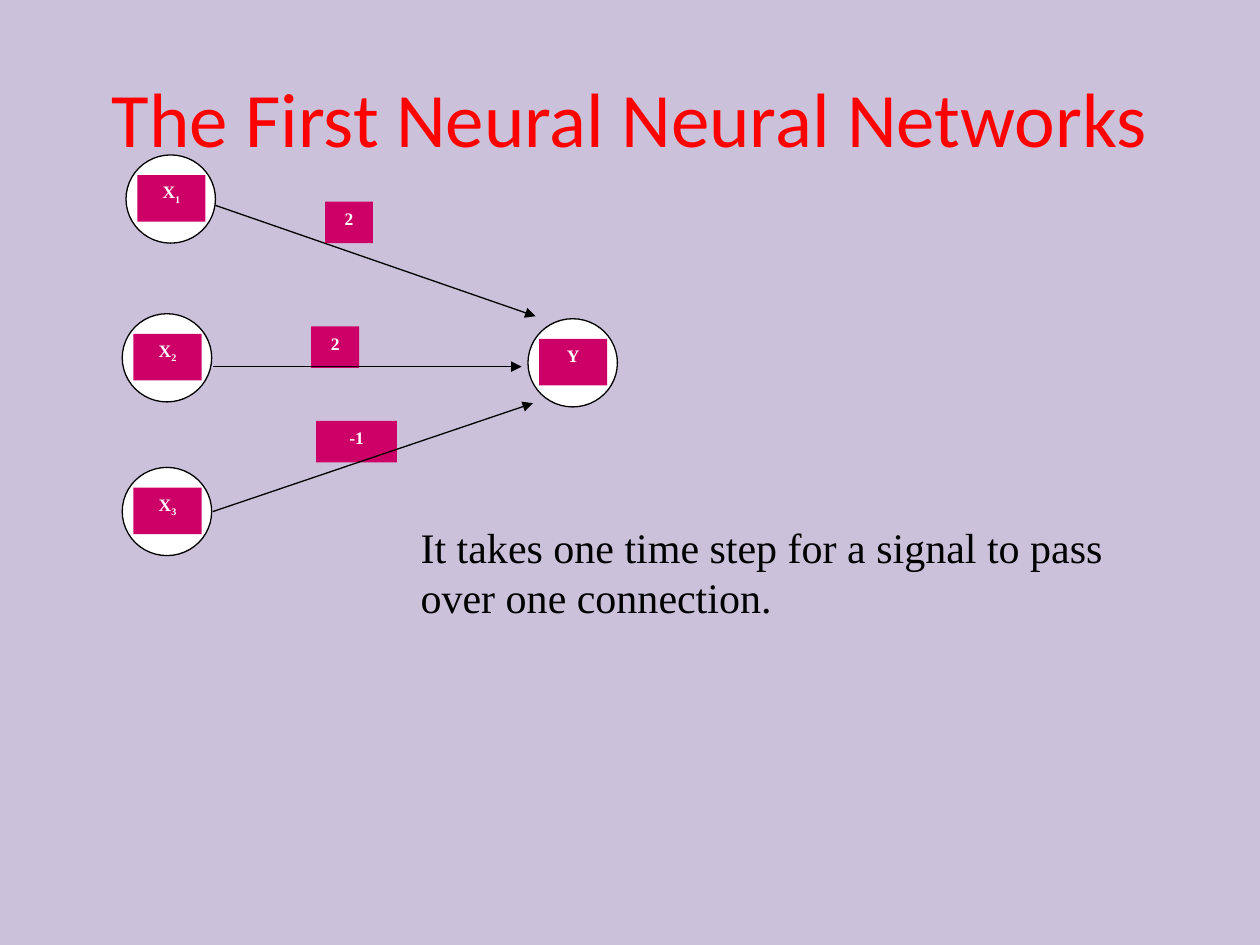
from lxml.etree import SubElement
from pptx import Presentation
from pptx.dml.color import RGBColor
from pptx.enum.shapes import MSO_CONNECTOR, MSO_SHAPE
from pptx.enum.text import MSO_ANCHOR, PP_ALIGN
from pptx.oxml.ns import qn
from pptx.util import Inches, Pt

COLORS = {
    "background": "CCC1DA",
    "title": "FF0000",
    "label": "CC0066",
    "label_text": "FFFFFF",
    "neuron": "FFFFFF",
    "ink": "000000",
}
SERIF = "Times New Roman"
NEURON_SIZE = (0.71, 0.7)
NAME_SIZE = (0.54, 0.37)
NAME_OFFSET = (0.09, 0.16)

NEURONS = [
    ("X", "1", 1, 1.23),
    ("X", "2", 0.97, 2.49),
    ("X", "3", 0.97, 3.71),
    ("Y", "", 4.19, 2.53),
]
WEIGHTS = [
    ("-1", 2.51, 3.34, 0.64),
    ("2", 2.47, 2.59, 0.38),
    ("2", 2.58, 1.6, 0.38),
]
CONNECTIONS = [
    ((1.71, 1.63), (4.25, 2.51)),
    ((1.69, 2.91), (4.14, 2.91)),
    ((1.69, 4.06), (4.23, 3.2)),
]


def color(name):
    return RGBColor.from_string(COLORS[name])


def set_font(paragraph, typeface, size, color_name, bold=False):
    font = paragraph.font
    font.name = typeface
    font.size = Pt(size)
    font.bold = bold
    font.color.rgb = color(color_name)


def set_title(slide, wording):
    title = slide.shapes.title
    title.left, title.top = Inches(0.5), Inches(0.3)
    title.width, title.height = Inches(9), Inches(1.25)
    title.text_frame.text = wording
    title.text_frame.vertical_anchor = MSO_ANCHOR.MIDDLE
    heading = title.text_frame.paragraphs[0]
    heading.alignment = PP_ALIGN.CENTER
    set_font(heading, "Calibri", 44, "title")


def add_remark(slide, wording):
    remark = slide.shapes.add_textbox(
        Inches(3.24), Inches(4.09), Inches(6.24), Inches(0.9)
    )
    remark.text_frame.word_wrap = True
    remark.text_frame.text = wording
    set_font(remark.text_frame.paragraphs[0], SERIF, 24, "ink")


def add_label(slide, wording, left, top, width, height, subscript=""):
    label = slide.shapes.add_shape(
        MSO_SHAPE.RECTANGLE, Inches(left), Inches(top), Inches(width), Inches(height)
    )
    label.shadow.inherit = False
    label.fill.solid()
    label.fill.fore_color.rgb = color("label")
    label.line.fill.background()
    label.text_frame.vertical_anchor = MSO_ANCHOR.TOP
    caption = label.text_frame.paragraphs[0]
    caption.alignment = PP_ALIGN.CENTER
    caption.add_run().text = wording
    if subscript:
        index = caption.add_run()
        index.text = subscript
        index.font._element.set("baseline", "-25000")
    set_font(caption, SERIF, 10, "label_text", bold=True)


def add_neuron(slide, name, subscript, left, top):
    neuron = slide.shapes.add_shape(
        MSO_SHAPE.OVAL, Inches(left), Inches(top), *map(Inches, NEURON_SIZE)
    )
    neuron.shadow.inherit = False
    neuron.fill.solid()
    neuron.fill.fore_color.rgb = color("neuron")
    neuron.line.color.rgb = color("ink")
    neuron.line.width = Pt(0.75)
    dx, dy = NAME_OFFSET
    add_label(slide, name, left + dx, top + dy, *NAME_SIZE, subscript)


def add_arrow(slide, start, end):
    arrow = slide.shapes.add_connector(
        MSO_CONNECTOR.STRAIGHT, *map(Inches, start + end)
    )
    arrow.line.color.rgb = color("ink")
    arrow.line.width = Pt(0.75)
    properties = arrow._element.spPr
    SubElement(properties.find(qn("a:ln")), qn("a:tailEnd"), type="triangle")
    SubElement(properties, qn("a:effectLst"))


def main():
    presentation = Presentation()
    presentation.slide_width = Inches(10)
    presentation.slide_height = Inches(7.5)
    slide = presentation.slides.add_slide(presentation.slide_layouts[5])
    slide.background.fill.solid()
    slide.background.fill.fore_color.rgb = color("background")

    set_title(slide, "The First Neural Neural Networks")
    add_remark(
        slide, "It takes one time step for a signal to pass over one connection."
    )
    for weight, left, top, width in WEIGHTS:
        add_label(slide, weight, left, top, width, 0.33)
    for neuron in NEURONS:
        add_neuron(slide, *neuron)
    for start, end in CONNECTIONS:
        add_arrow(slide, start, end)

    presentation.save("out.pptx")


if __name__ == "__main__":
    main()
